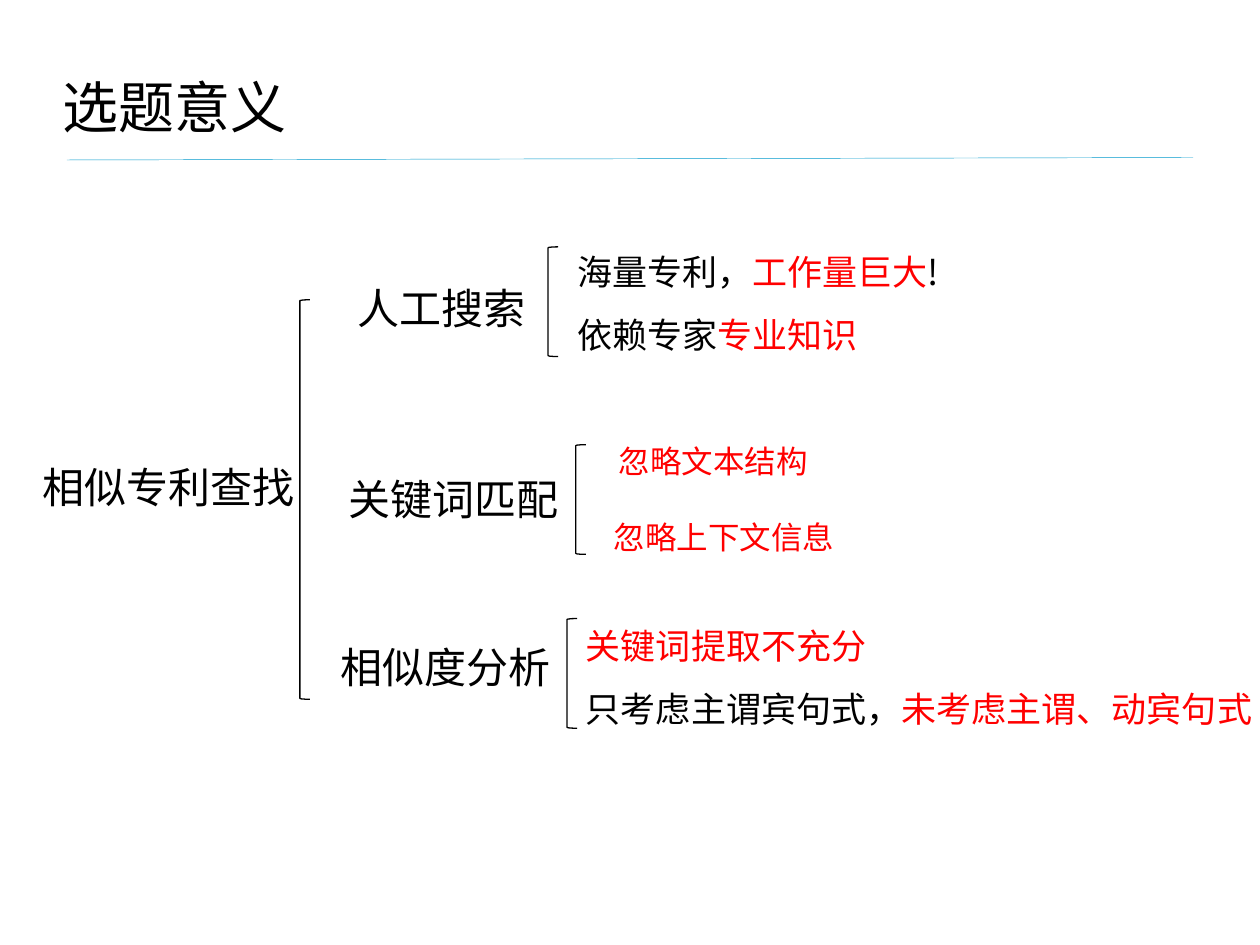
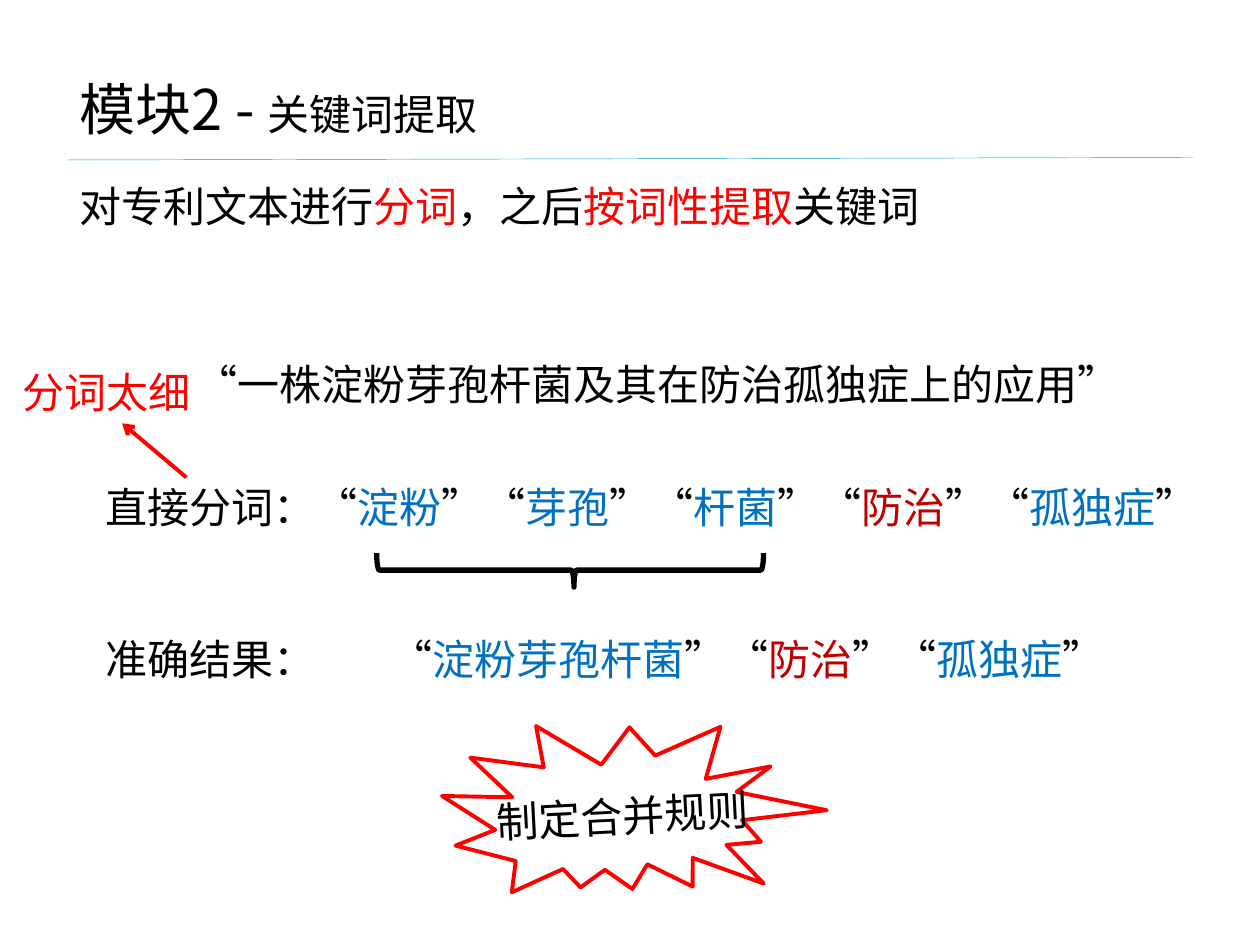
"""Build two slides on finding similar patents and extracting keywords."""
import pptx
import pptx.dml.color
import pptx.enum.lang
import pptx.enum.shapes
import pptx.enum.text
import pptx.oxml.ns
import pptx.oxml.xmlchemy
import pptx.util
import lxml.etree

FONT = "Noto Sans CJK SC"
COLOURS = {"black": "000000", "red": "FF0000", "crimson": "C00000", "blue": "0070C0", "rule": "0099CC"}
SHAPES = pptx.enum.shapes.MSO_SHAPE

presentation = pptx.Presentation()
presentation.slide_width = pptx.util.Inches(10)
presentation.slide_height = pptx.util.Inches(7.5)
COLUMN = presentation.slide_width / 100
ROW = presentation.slide_height / 75


def grid(*cells):
    """Turn alternating columns and rows into lengths."""
    return [pptx.util.Emu(round(cell * (ROW if index % 2 else COLUMN))) for index, cell in enumerate(cells)]


def write(slide, cells, size, *lines, spacing=1.0):
    """Add a text box; each line is a list of (text, colour) or (text, colour, size) runs."""
    box = slide.shapes.add_textbox(*grid(*cells))
    frame = box.text_frame
    frame.word_wrap = True
    frame.margin_left = frame.margin_right = 0
    for index, line in enumerate(lines):
        paragraph = frame.add_paragraph() if index else frame.paragraphs[0]
        paragraph.line_spacing = spacing
        paragraph.font.name = FONT
        paragraph.font.size = pptx.util.Pt(size)
        defaults = paragraph._p.pPr.find(pptx.oxml.ns.qn("a:defRPr"))
        lxml.etree.SubElement(defaults, pptx.oxml.ns.qn("a:ea"), typeface=FONT)
        for text, colour, *run_size in line:
            run = paragraph.add_run()
            run.text = text
            run.font.language_id = pptx.enum.lang.MSO_LANGUAGE_ID.SIMPLIFIED_CHINESE
            run.font.color.rgb = pptx.dml.color.RGBColor.from_string(COLOURS[colour])
            if run_size:
                run.font.size = pptx.util.Pt(run_size[0])
    return box


meaning, keywords = [presentation.slides.add_slide(presentation.slide_layouts[6]) for _ in range(2)]

write(meaning, (5, 5.3, 50, 6.4), 32, [("选题意义", "black")])
write(keywords, (6.3, 5.4, 60, 6.4), 32, [("模块2 - ", "black"), ("关键词提取", "black", 24)])

for left, top, text in (
    (3.4, 36.1, "相似专利查找"),
    (28.4, 21.9, "人工搜索"),
    (27.7, 37.1, "关键词匹配"),
    (27, 50.4, "相似度分析"),
):
    write(meaning, (left, top, len(text) * 3.4, 5), 24, [(text, "black")])

write(meaning, (45.8, 17.7, 42, 11.1), 20,
      [("海量专利，", "black"), ("工作量巨大", "red"), ("!", "black")],
      [("依赖专家", "black"), ("专业知识", "red")], spacing=1.5)
write(meaning, (46.5, 47.4, 53.5, 11.1), 20,
      [("关键词提取不充分", "red")],
      [("只考虑主谓宾句式，", "black"), ("未考虑主谓、动宾句式", "red")], spacing=1.5)
write(meaning, (49.1, 34.6, 16, 4), 18, [("忽略文本结构", "red")])
write(meaning, (48.7, 40.6, 18.5, 4), 18, [("忽略上下文信息", "red")])

write(keywords, (6.3, 11.8, 80, 7.1), 24,
      [("对专利文本进行", "black"), ("分词", "red"), ("，之后", "black"),
       ("按词性提取", "red"), ("关键词", "black")], spacing=1.5)
write(keywords, (15.5, 26, 83, 6.4), 24,
      [("“一株淀粉芽孢杆菌及其在防治孤独症上的应用”", "black")], spacing=1.5)

shared_words = [("防治", "crimson"), ("”“", "black"), ("孤独症", "blue"), ("”", "black")]
write(keywords, (8.4, 35.7, 91, 7), 24,
      [("直接分词：“", "black"), ("淀粉", "blue"), ("”“", "black"), ("芽孢", "blue"),
       ("”“", "black"), ("杆菌", "blue"), ("”“", "black")] + shared_words, spacing=1.5)
write(keywords, (8.4, 47.8, 18, 7), 24, [("准确结果：", "black")], spacing=1.5)
write(keywords, (31, 47.8, 68, 7), 24,
      [("“", "black"), ("淀粉芽孢杆菌", "blue"), ("”“", "black")] + shared_words, spacing=1.5)
too_fine = write(keywords, (1.8, 28.6, 15.8, 5), 24, [("分词太细", "red")])

for slide, kind, cells, rotation, colour, width, adjustments in (
    (meaning, SHAPES.LEFT_BRACKET, (23.8, 23.8, 0.8, 31.7), 0, "black", 0.75, ()),
    (meaning, SHAPES.LEFT_BRACKET, (43.5, 19.6, 0.8, 8.7), 0, "black", 0.75, ()),
    (meaning, SHAPES.LEFT_BRACKET, (45.7, 35.3, 0.8, 8.7), 0, "black", 0.75, ()),
    (meaning, SHAPES.LEFT_BRACKET, (45, 49.1, 0.8, 8.7), 0, "black", 0.75, ()),
    (keywords, SHAPES.LEFT_BRACE, (43.9, 29.9, 2.7, 30.7), 270, "black", 3, (0.08, 0.51)),
    (keywords, SHAPES.EXPLOSION2, (35.1, 56.5, 30.2, 16), 10.8, "red", 2.25, ()),
):
    shape = slide.shapes.add_shape(kind, *grid(*cells))
    shape.shadow.inherit = False
    shape.rotation = rotation
    shape.fill.background()
    shape.line.color.rgb = pptx.dml.color.RGBColor.from_string(COLOURS[colour])
    shape.line.width = pptx.util.Pt(width)
    for index, value in enumerate(adjustments):
        shape.adjustments[index] = value

merge_rule = write(keywords, (38.9, 62.2, 21, 5), 24, [("制定合并规则", "black")])
merge_rule.rotation = 357
merge_rule.text_frame.paragraphs[0].alignment = pptx.enum.text.PP_ALIGN.CENTER

for slide, cells, colour, width, target in (
    (meaning, (5.3, 12.7, 94.7, 12.5), "rule", 0.25, None),
    (keywords, (5.3, 12.7, 94.7, 12.5), "rule", 0.25, None),
    (keywords, (14.8, 37.9, 9.7, 33.6), "red", 2.25, too_fine),
):
    line = slide.shapes.add_connector(pptx.enum.shapes.MSO_CONNECTOR.STRAIGHT, *grid(*cells))
    line.line.color.rgb = pptx.dml.color.RGBColor.from_string(COLOURS[colour])
    line.line.width = pptx.util.Pt(width)
    lxml.etree.SubElement(line._element.spPr, pptx.oxml.ns.qn("a:effectLst"))
    if target is not None:
        line.end_connect(target, 2)
        lxml.etree.SubElement(line.line._ln, pptx.oxml.ns.qn("a:tailEnd"), type="arrow")

presentation.save("out.pptx")
